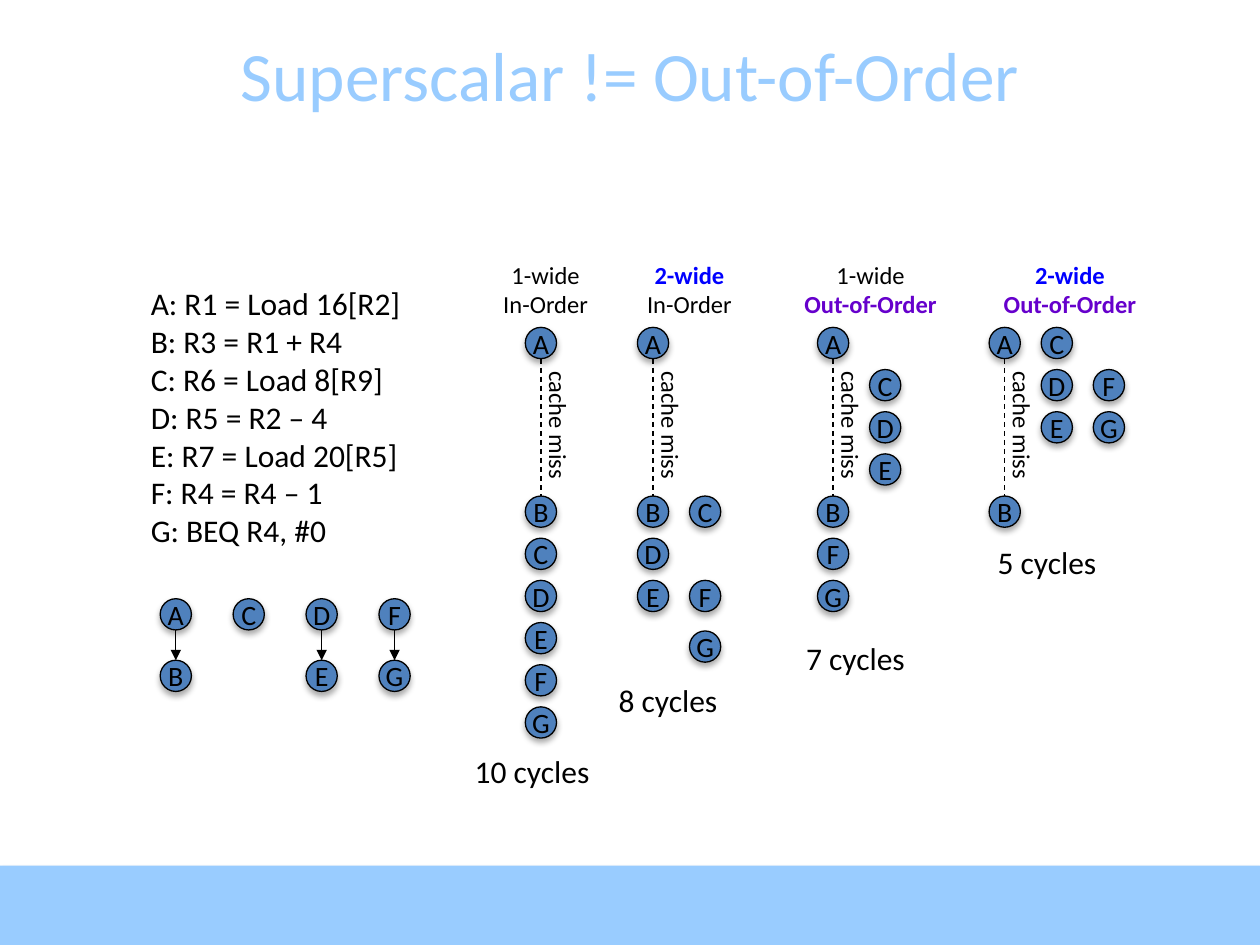
"""Build the slide that contrasts superscalar with out-of-order execution."""
from lxml import etree
from pptx import Presentation
from pptx.dml.color import RGBColor
from pptx.enum.dml import MSO_LINE
from pptx.enum.shapes import MSO_CONNECTOR, MSO_SHAPE
from pptx.enum.text import MSO_ANCHOR, MSO_AUTO_SIZE, PP_ALIGN
from pptx.oxml.ns import qn
from pptx.util import Cm, Pt

LEFT, CENTER = PP_ALIGN.LEFT, PP_ALIGN.CENTER
MIDDLE, TOP = MSO_ANCHOR.MIDDLE, MSO_ANCHOR.TOP
FIT = MSO_AUTO_SIZE.SHAPE_TO_FIT_TEXT
OVAL, RECTANGLE = MSO_SHAPE.OVAL, MSO_SHAPE.RECTANGLE
STRAIGHT, DASH = MSO_CONNECTOR.STRAIGHT, MSO_LINE.DASH

BLACK = RGBColor(0x00, 0x00, 0x00)
SKY = RGBColor(0x99, 0xCC, 0xFF)
STEEL = RGBColor(0x4F, 0x81, 0xBD)
BLUE = RGBColor(0x00, 0x00, 0xFF)
PURPLE = RGBColor(0x66, 0x00, 0xCC)

FONT = "Calibri"
NODE = 0.63
ROW_TOP, ROW_STEP, LANE_STEP = 6.6, 0.85, 1.05
MISS_ROW = 4
EMPHASIS = {"2-wide": BLUE, "Out-of-Order": PURPLE}

CODE = [
    "A: R1 = Load 16[R2]",
    "B: R3 = R1 + R4",
    "C: R6 = Load 8[R9]",
    "D: R5 = R2 – 4",
    "E: R7 = Load 20[R5]",
    "F: R4 = R4 – 1",
    "G: BEQ R4, #0",
]
DEPENDENCIES = ["AB", "C", "DE", "FG"]

# Each machine: node left, heading (left, width, lines), nodes (name, lane, row),
# result (text, left, top, width).
MACHINES = [
    (10.59, (9.83, 2.34, ["1-wide", "In-Order"]),
     [("B", 0, 4), ("C", 0, 5), ("D", 0, 6), ("E", 0, 7), ("F", 0, 8), ("G", 0, 9)],
     ("10 cycles", 9.32, 15.04, 2.87)),
    (12.85, (12.73, 2.34, ["2-wide", "In-Order"]),
     [("B", 0, 4), ("C", 1, 4), ("D", 0, 5), ("E", 0, 6), ("F", 1, 6), ("G", 1, 7.2)],
     ("8 cycles", 12.22, 13.61, 2.59)),
    (16.48, (15.72, 3.66, ["1-wide", "Out-of-Order"]),
     [("C", 1, 1), ("D", 1, 2), ("E", 1, 3), ("B", 0, 4), ("F", 0, 5), ("G", 0, 6)],
     ("7 cycles", 16, 12.75, 2.54)),
    (19.94, (19.74, 3.66, ["2-wide", "Out-of-Order"]),
     [("C", 1, 0), ("D", 1, 1), ("F", 2, 1), ("E", 1, 2), ("G", 2, 2), ("B", 0, 4)],
     ("5 cycles", 19.86, 10.82, 2.59)),
]


def add_shadow(shape, alpha, blur, distance):
    """Give a shape a soft black shadow that falls straight down."""
    shape.shadow.inherit = False
    effects = shape._element.spPr.find(qn("a:effectLst"))
    shadow = etree.SubElement(effects, qn("a:outerShdw"), blurRad=str(Pt(blur)),
                              dist=str(Pt(distance)), dir="5400000", rotWithShape="0")
    color = etree.SubElement(shadow, qn("a:srgbClr"), val=str(BLACK))
    etree.SubElement(color, qn("a:alpha"), val=str(alpha * 1000))


def add_run(p, text, size, color=BLACK, bold=False):
    """Add one formatted run to a paragraph."""
    r = p.add_run()
    r.text = text
    r.font.name = FONT
    r.font.size = Pt(size)
    r.font.color.rgb = color
    r.font.bold = bold


def add_text(s, left, top, width, height, lines, size, align=LEFT, color=BLACK,
             anchor=TOP):
    """Add an unwrapped text box with one paragraph per line."""
    box = s.shapes.add_textbox(Cm(left), Cm(top), Cm(width), Cm(height))
    tf = box.text_frame
    tf.word_wrap = False
    tf.auto_size = FIT
    tf.vertical_anchor = anchor
    for i, line in enumerate(lines):
        p = tf.add_paragraph() if i else tf.paragraphs[0]
        p.alignment = align
        add_run(p, line, size, EMPHASIS.get(line, color), line in EMPHASIS)
    return box


def add_node(s, name, left, top):
    """Add a round instruction node."""
    sp = s.shapes.add_shape(OVAL, Cm(left), Cm(top), Cm(NODE), Cm(NODE))
    sp.fill.solid()
    sp.fill.fore_color.rgb = STEEL
    sp.line.color.rgb = BLACK
    sp.line.width = Pt(0.75)
    add_shadow(sp, 32, 3.5, 2.2)
    tf = sp.text_frame
    tf.word_wrap = False
    tf.margin_left = tf.margin_right = 0
    tf.vertical_anchor = MIDDLE
    p = tf.paragraphs[0]
    p.alignment = CENTER
    add_run(p, name, 16)


def add_link(s, x, top, bottom, dashed=False):
    """Add a vertical line: dashed for a wait, with an arrowhead otherwise."""
    line = s.shapes.add_connector(STRAIGHT, Cm(x), Cm(top), Cm(x), Cm(bottom))
    line.line.color.rgb = BLACK
    line.line.width = Pt(0.75)
    if dashed:
        line.line.dash_style = DASH
    else:
        etree.SubElement(line.line._get_or_add_ln(), qn("a:tailEnd"), type="triangle")
    etree.SubElement(line._element.spPr, qn("a:effectLst"))


def add_band(s):
    """Add the coloured band at the foot of the slide."""
    sp = s.shapes.add_shape(RECTANGLE, 0, Cm(17.45), Cm(25.4), Cm(1.6))
    sp.fill.solid()
    sp.fill.fore_color.rgb = SKY
    sp.line.fill.background()
    add_shadow(sp, 35, 3.1, 1.8)


def add_dependencies(s):
    """Add the dependency graph of the instructions."""
    top, drop = 12.07, 1.24
    for i, chain in enumerate(DEPENDENCIES):
        left = 3.23 + i * 1.47
        for j, name in enumerate(chain):
            add_node(s, name, left, top + j * drop)
        if len(chain) > 1:
            add_link(s, left + NODE / 2, top + NODE, top + drop)


def add_machine(s, left, heading, nodes, result):
    """Add the schedule of one machine, from its heading to its cycle count."""
    head_left, head_width, lines = heading
    add_text(s, head_left, 5.11, head_width, 1.45, lines, 14, CENTER)
    add_link(s, left + NODE / 2, ROW_TOP + NODE, ROW_TOP + MISS_ROW * ROW_STEP, True)
    miss = add_text(s, left - 0.02, 7.24, 1.12, 2.41, ["cache miss"], 14)
    miss.text_frame._txBody.bodyPr.set("vert", "eaVert")
    for name, lane, row in [("A", 0, 0)] + nodes:
        add_node(s, name, left + lane * LANE_STEP, ROW_TOP + row * ROW_STEP)
    text, text_left, text_top, text_width = result
    add_text(s, text_left, text_top, text_width, 1.02, [text], 18)


def main():
    """Build and save the slide."""
    prs = Presentation()
    prs.slide_width, prs.slide_height = Cm(25.4), Cm(19.05)
    s = prs.slides.add_slide(prs.slide_layouts[6])
    add_band(s)
    add_text(s, 0, 0.69, 25.4, 1.6, ["Superscalar != Out-of-Order"], 39.6, CENTER,
             SKY, MIDDLE)
    add_text(s, 2.79, 5.61, 5.84, 5.64, CODE, 18)
    add_dependencies(s)
    for machine in MACHINES:
        add_machine(s, *machine)
    prs.save("out.pptx")


if __name__ == "__main__":
    main()
